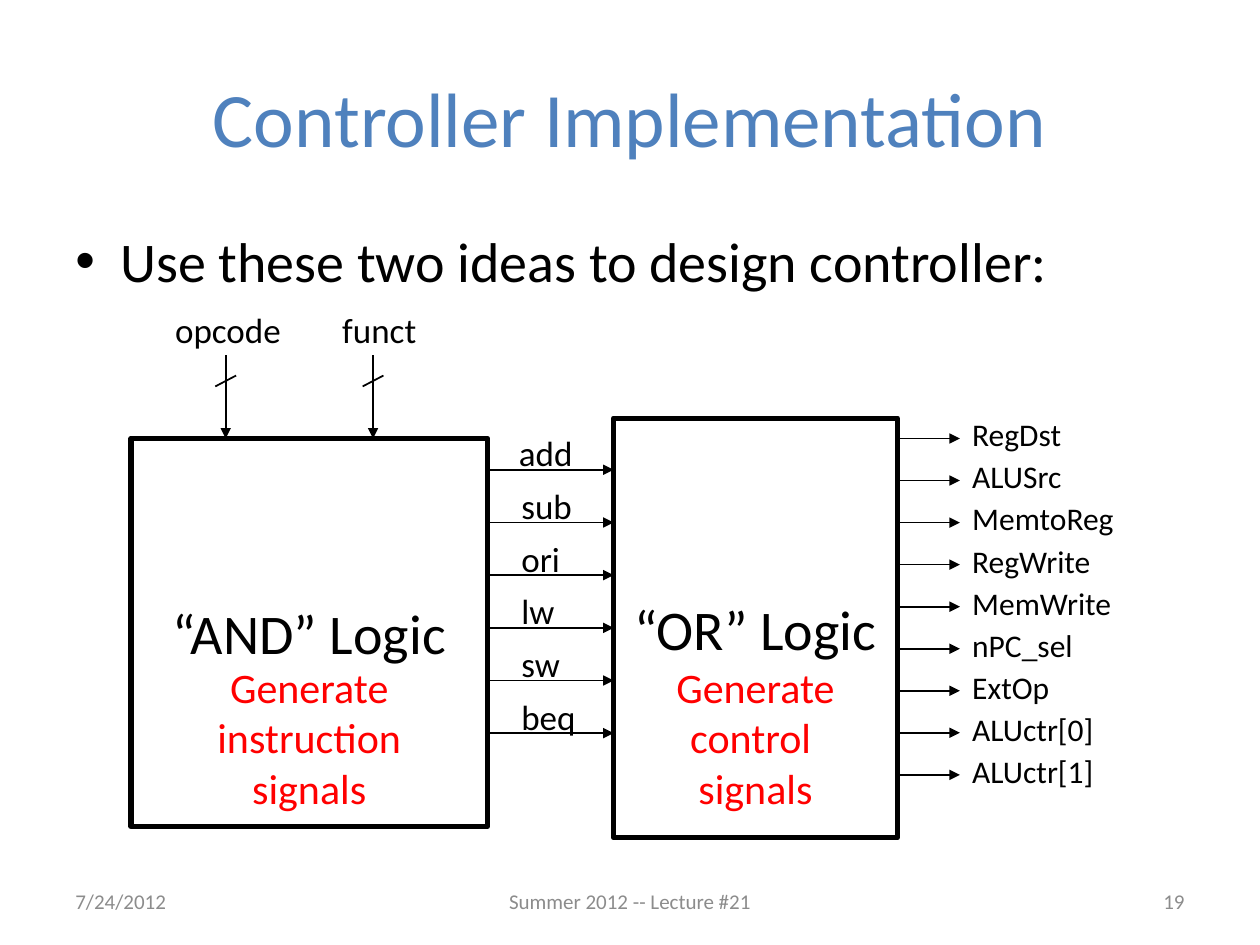
"""Build the controller implementation slide with its AND and OR logic blocks."""
from dataclasses import dataclass

from lxml import etree
from pptx import Presentation
from pptx.dml.color import RGBColor
from pptx.enum.shapes import MSO_CONNECTOR, MSO_SHAPE
from pptx.enum.text import MSO_ANCHOR, PP_ALIGN
from pptx.oxml.ns import qn
from pptx.util import Cm, Pt

LEFT, CENTER, RIGHT = PP_ALIGN.LEFT, PP_ALIGN.CENTER, PP_ALIGN.RIGHT
TOP, MIDDLE = MSO_ANCHOR.TOP, MSO_ANCHOR.MIDDLE
RECTANGLE, STRAIGHT = MSO_SHAPE.RECTANGLE, MSO_CONNECTOR.STRAIGHT


@dataclass(frozen=True)
class Theme:
    font: str = "Calibri"
    ink: str = "000000"
    title_blue: str = "4F81BD"
    note_red: str = "FF0000"
    footer_gray: str = "8C8C8C"
    title_size: int = 44
    body_size: int = 32
    note_size: int = 24
    label_size: int = 20
    control_size: int = 18
    footer_size: int = 12
    block_line: int = 3
    wire_line: int = 1


@dataclass(frozen=True)
class Area:
    left: float
    top: float
    width: float
    height: float


@dataclass(frozen=True)
class Block:
    area: Area
    name: str
    note: str


@dataclass(frozen=True)
class Label:
    text: str
    left: float
    width: float


@dataclass(frozen=True)
class Bus:
    labels: tuple[Label, ...]
    start: float
    end: float
    first: float
    last: float
    rise: float
    height: float
    size: int


@dataclass(frozen=True)
class Caption:
    text: str
    area: Area
    size: int
    color: str
    align: PP_ALIGN
    anchor: MSO_ANCHOR = MIDDLE


THEME = Theme()
BLOCKS = (
    Block(Area(2.64, 8.84, 7.19, 7.82), "“AND” Logic", "Generate instruction\vsignals"),
    Block(Area(12.37, 8.43, 5.72, 8.46), "“OR” Logic", "Generate control \vsignals"),
)
INPUTS = (Label("opcode", 3.28, 2.67), Label("funct", 6.65, 2.03))
INPUT_XS = (4.55, 7.52)
INSTRUCTIONS = (
    Label("add", 10.21, 1.6), Label("sub", 10.26, 1.55), Label("ori", 10.26, 1.3),
    Label("lw", 10.26, 1.19), Label("sw", 10.26, 1.3), Label("beq", 10.26, 1.63),
)
CONTROL_WIDTHS = {
    "RegDst": 2.34, "ALUSrc": 2.34, "MemtoReg": 3.4, "RegWrite": 2.92,
    "MemWrite": 3.4, "nPC_sel": 2.57, "ExtOp": 2.08, "ALUctr[0]": 2.97, "ALUctr[1]": 2.97,
}
CONTROLS = tuple(Label(text, 19.35, width) for text, width in CONTROL_WIDTHS.items())
BUSES = (
    Bus(INSTRUCTIONS, 9.83, 12.37, 9.47, 14.78, 0.89, 1.11, THEME.label_size),
    Bus(CONTROLS, 18.09, 19.35, 8.84, 15.62, 0.59, 1.02, THEME.control_size),
)
CAPTIONS = (
    Caption("Controller Implementation", Area(1.27, 0.76, 22.86, 3.18),
            THEME.title_size, THEME.title_blue, CENTER),
    Caption("7/24/2012", Area(1.27, 17.65, 5.92, 1.02),
            THEME.footer_size, THEME.footer_gray, LEFT),
    Caption("Summer 2012 -- Lecture #21", Area(8.68, 17.65, 8.04, 1.02),
            THEME.footer_size, THEME.footer_gray, CENTER),
    Caption("19", Area(18.21, 17.65, 5.92, 1.02),
            THEME.footer_size, THEME.footer_gray, RIGHT),
)


def lengths(area: Area) -> tuple[Cm, Cm, Cm, Cm]:
    return Cm(area.left), Cm(area.top), Cm(area.width), Cm(area.height)


def write(box, text: str, *, size: int, color: str = THEME.ink, align=LEFT,
          anchor=TOP, wrap: bool = True):
    frame = box.text_frame
    frame.word_wrap = wrap
    frame.vertical_anchor = anchor
    para = frame.paragraphs[0]
    para.text = text
    para.alignment = align
    for span in para.runs:
        span.font.name = THEME.font
        span.font.size = Pt(size)
        span.font.color.rgb = RGBColor.from_string(color)
    return para


def add_text(page, area: Area, text: str, **style):
    return write(page.shapes.add_textbox(*lengths(area)), text, **style)


def add_wire(page, start: tuple[float, float], end: tuple[float, float],
             arrow: bool = True) -> None:
    wire = page.shapes.add_connector(STRAIGHT, *map(Cm, (*start, *end)))
    wire.line.color.rgb = RGBColor.from_string(THEME.ink)
    wire.line.width = Pt(THEME.wire_line)
    if arrow:
        etree.SubElement(wire.line._get_or_add_ln(), qn("a:tailEnd"), type="triangle")
    etree.SubElement(wire._element.spPr, qn("a:effectLst"))


def add_block(page, block: Block) -> None:
    box = page.shapes.add_shape(RECTANGLE, *lengths(block.area))
    box.shadow.inherit = False
    box.fill.background()
    box.line.color.rgb = RGBColor.from_string(THEME.ink)
    box.line.width = Pt(THEME.block_line)
    write(box, block.name, size=THEME.body_size, align=CENTER, anchor=MIDDLE, wrap=False)
    add_text(page, Area(block.area.left, 13.21, block.area.width, 3.33), block.note,
             size=THEME.note_size, color=THEME.note_red, align=CENTER)


def add_bus(page, bus: Bus) -> None:
    pitch = (bus.last - bus.first) / (len(bus.labels) - 1)
    for row, label in enumerate(bus.labels):
        y = bus.first + row * pitch
        add_wire(page, (bus.start, y), (bus.end, y))
        add_text(page, Area(label.left, y - bus.rise, label.width, bus.height),
                 label.text, size=bus.size, wrap=False)


def add_input(page, label: Label, x: float) -> None:
    add_text(page, Area(label.left, 6.1, label.width, 1.11), label.text,
             size=THEME.label_size, wrap=False)
    add_wire(page, (x, 7.16), (x, 8.84))
    add_wire(page, (x - 0.21, 7.79), (x + 0.21, 7.57), arrow=False)


def add_bullet(page, text: str) -> None:
    para = add_text(page, Area(1.27, 4.45, 22.86, 1.63), text, size=THEME.body_size)
    settings = para._p.get_or_add_pPr()
    settings.set("marL", str(Cm(0.91)))
    settings.set("indent", str(-Cm(0.91)))
    etree.SubElement(settings, qn("a:buFont"), typeface="Arial")
    etree.SubElement(settings, qn("a:buChar"), char="•")


def main() -> None:
    deck = Presentation()
    deck.slide_width, deck.slide_height = Cm(25.4), Cm(19.05)
    page = deck.slides.add_slide(deck.slide_layouts[6])
    for caption in CAPTIONS:
        add_text(page, caption.area, caption.text, size=caption.size, color=caption.color,
                 align=caption.align, anchor=caption.anchor)
    add_bullet(page, "Use these two ideas to design controller:")
    for block in BLOCKS:
        add_block(page, block)
    for bus in BUSES:
        add_bus(page, bus)
    for label, x in zip(INPUTS, INPUT_XS):
        add_input(page, label, x)
    deck.save("out.pptx")


main()
